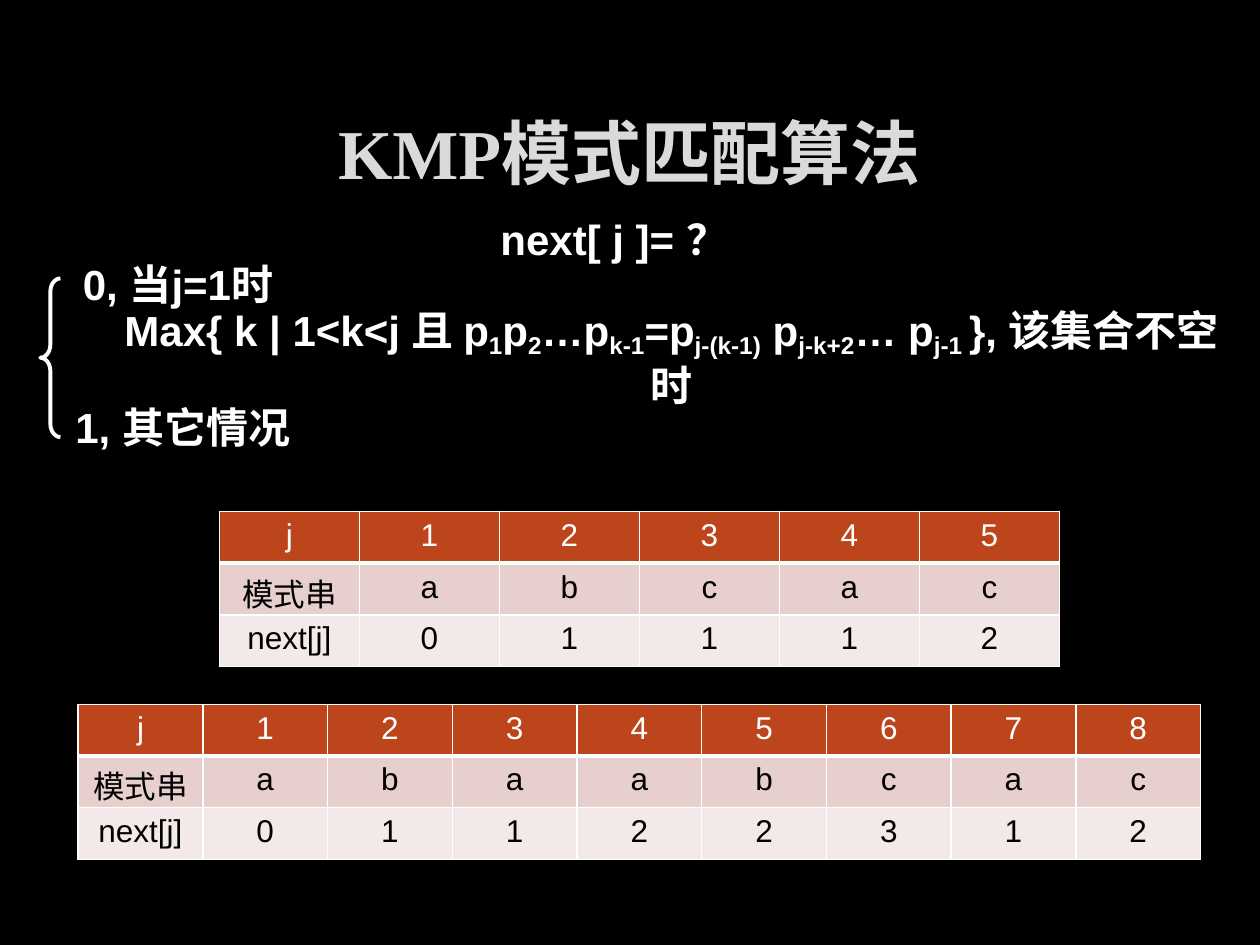
from dataclasses import dataclass

from lxml.etree import SubElement
from pptx import Presentation
from pptx.dml.color import RGBColor
from pptx.enum.lang import MSO_LANGUAGE_ID as Lang
from pptx.enum.shapes import MSO_SHAPE as Shape
from pptx.enum.text import MSO_ANCHOR as Anchor, PP_ALIGN as Align
from pptx.oxml.ns import qn
from pptx.util import Inches, Pt

BLACK = RGBColor(0x00, 0x00, 0x00)
WHITE = RGBColor(0xFF, 0xFF, 0xFF)
SILVER = RGBColor(0xDA, 0xDA, 0xDA)
RUST = RGBColor(0xBC, 0x45, 0x1B)
ROSE = RGBColor(0xE7, 0xCF, 0xCD)
BLUSH = RGBColor(0xF3, 0xE9, 0xE8)

ROW_HEIGHT = 0.41
BAND_COLORS = ((RUST, WHITE), (ROSE, BLACK), (BLUSH, BLACK))


@dataclass
class Line:
    """A line of text; every second segment is a subscript."""
    segments: tuple[str, ...]
    left: float
    top: float
    width: float
    height: float = 0.47
    align: Align = Align.LEFT
    size: int = 24
    font: str = "Arial"
    color: RGBColor = WHITE


@dataclass
class NextTable:
    pattern: str
    next_values: str
    left: float
    top: float
    width: float


LINES = (
    Line(("KMP模式匹配算法",), 0.75, 0.67, 8.49, 1.06, Align.CENTER, 40,
         "Times New Roman", SILVER),
    Line(("next[ j ]= ？",), 3.73, 1.66, 2.29, align=Align.CENTER),
    Line(("0, 当j=1时",), 0.56, 2.02, 6.5),
    Line(("Max{ k | 1<k<j 且 p", "1", "p", "2", "…p", "k-1", "=p", "j-(k-1)",
          " p", "j-k+2", "… p", "j-1 ", "}, 该集合不空时"),
         0.84, 2.6, 8.98, align=Align.CENTER),
    Line(("1, 其它情况",), 0.5, 3.15, 7.26),
)
TABLES = (
    NextTable("abcac", "01112", 1.74, 4.06, 6.67),
    NextTable("abaabcac", "01122312", 0.62, 5.59, 8.91),
)


def add_run(paragraph, text: str, size: int, font: str, color: RGBColor,
            bold: bool = False, subscript: bool = False) -> None:
    run = paragraph.add_run()
    run.text = text
    run.font.size = Pt(size)
    run.font.name = font
    run.font.bold = bold
    run.font.color.rgb = color
    run.font.language_id = Lang.SIMPLIFIED_CHINESE
    if subscript:
        run._r.get_or_add_rPr().set("baseline", "-20000")


def draw_line(slide, line: Line) -> None:
    box = slide.shapes.add_textbox(*map(Inches, (line.left, line.top, line.width, line.height)))
    frame = box.text_frame
    frame.word_wrap = line.align == Align.LEFT
    frame.vertical_anchor = Anchor.MIDDLE
    paragraph = frame.paragraphs[0]
    paragraph.alignment = line.align
    for index, segment in enumerate(line.segments):
        add_run(paragraph, segment, line.size, line.font, line.color, True, index % 2 == 1)


def draw_borders(cell, bottom: float) -> None:
    properties = cell._tc.get_or_add_tcPr()
    for side, width in (("L", 1), ("R", 1), ("T", 1), ("B", bottom)):
        border = SubElement(properties, qn(f"a:ln{side}"), w=str(int(Pt(width))))
        fill = SubElement(border, qn("a:solidFill"))
        SubElement(fill, qn("a:srgbClr"), val=str(WHITE))


def draw_table(slide, example: NextTable) -> None:
    positions = range(1, len(example.pattern) + 1)
    rows = (("j", *map(str, positions)),
            ("模式串", *example.pattern),
            ("next[j]", *example.next_values))
    columns = len(rows[0])
    table = slide.shapes.add_table(
        len(rows), columns, Inches(example.left), Inches(example.top),
        Inches(example.width), Inches(ROW_HEIGHT * len(rows))).table
    for column in table.columns:
        column.width = Inches(example.width / columns)
    for r, (values, (fill, color)) in enumerate(zip(rows, BAND_COLORS)):
        table.rows[r].height = Inches(ROW_HEIGHT)
        for c, value in enumerate(values):
            cell = table.cell(r, c)
            draw_borders(cell, 3 if r == 0 else 1)
            cell.fill.solid()
            cell.fill.fore_color.rgb = fill
            paragraph = cell.text_frame.paragraphs[0]
            paragraph.alignment = Align.CENTER
            add_run(paragraph, value, 18, "Arial", color)


def draw_brace(slide) -> None:
    brace = slide.shapes.add_shape(
        Shape.LEFT_BRACE, Inches(0.32), Inches(2.21), Inches(0.16), Inches(1.26))
    brace.shadow.inherit = False
    brace.adjustments[0] = 0.66
    brace.adjustments[1] = 0.5
    brace.fill.background()
    brace.line.color.rgb = WHITE
    brace.line.width = Pt(2.25)


presentation = Presentation()
presentation.slide_width = Inches(10)
presentation.slide_height = Inches(7.5)
slide = presentation.slides.add_slide(presentation.slide_layouts[6])
slide.background.fill.solid()
slide.background.fill.fore_color.rgb = BLACK

# Title and definition of next[j]
for text_line in LINES:
    draw_line(slide, text_line)
draw_brace(slide)

# Worked examples
for example in TABLES:
    draw_table(slide, example)

presentation.save("out.pptx")
